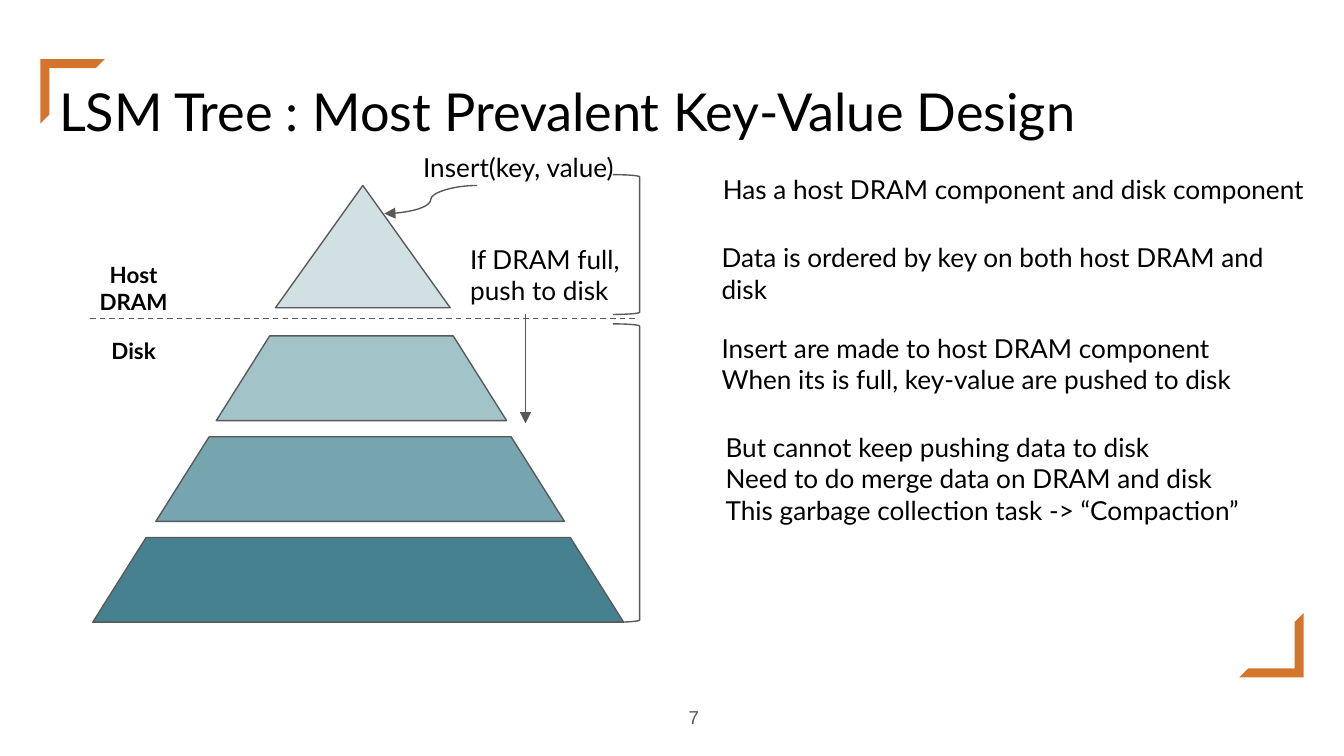
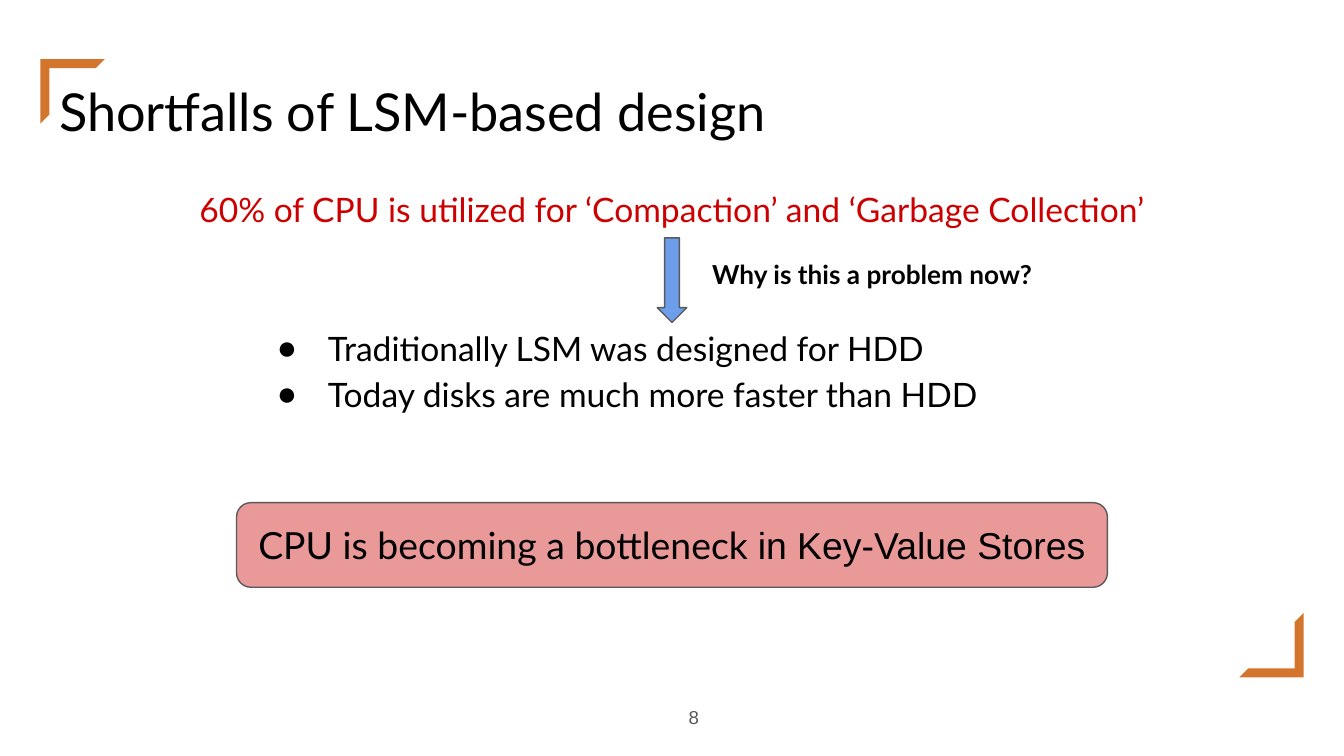
from lxml import etree
from pptx import Presentation
from pptx.dml.color import RGBColor
from pptx.enum.dml import MSO_LINE
from pptx.enum.shapes import MSO_CONNECTOR, MSO_SHAPE
from pptx.enum.text import MSO_ANCHOR, MSO_AUTO_SIZE, PP_ALIGN
from pptx.oxml.ns import qn
from pptx.util import Inches, Pt

LEFT, CENTER, RIGHT = PP_ALIGN.LEFT, PP_ALIGN.CENTER, PP_ALIGN.RIGHT
TOP, MIDDLE = MSO_ANCHOR.TOP, MSO_ANCHOR.MIDDLE
FIXED, GROW = MSO_AUTO_SIZE.NONE, MSO_AUTO_SIZE.SHAPE_TO_FIT_TEXT
STRAIGHT, CURVE = MSO_CONNECTOR.STRAIGHT, MSO_CONNECTOR.CURVE
DASH = MSO_LINE.DASH
HALF_FRAME, TRIANGLE = MSO_SHAPE.HALF_FRAME, MSO_SHAPE.ISOSCELES_TRIANGLE
TRAPEZOID, BRACKET = MSO_SHAPE.TRAPEZOID, MSO_SHAPE.RIGHT_BRACKET
ROUNDED, DOWN_ARROW = MSO_SHAPE.ROUNDED_RECTANGLE, MSO_SHAPE.DOWN_ARROW

TITLE_AND_BODY, TITLE_ONLY = 1, 5
FONT, PLAIN_FONT = "Lato", "Arial"
COLORS = {
    "text": "000000", "line": "595959", "frame": "D4752E", "alert": "CC0000",
    "memory": "D0E0E3", "level1": "A2C4C9", "level2": "76A5AF", "level3": "45818E",
    "callout": "EA9999", "arrow": "6D9EEB",
}


def color(name):
    """Return the named colour of the palette."""
    return RGBColor.from_string(COLORS[name])


class SlideBuilder:
    """Holds the deck style and the slide being built."""

    def __init__(self, deck):
        """Start with a deck and no slide."""
        self.deck = deck
        self.page = None

    def new_page(self, layout, title, number):
        """Add a page with corner frames, a title and a page number."""
        self.page = self.deck.slides.add_slide(self.deck.slide_layouts[layout])
        for left, top, angle in ((0.3, 0.44, 0), (9.22, 4.56, 180)):
            frame = self.shape(HALF_FRAME, (left, top, 0.48, 0.48), "frame", (0.14, 0.14), False)
            frame.rotation = angle
        self.fill_text(self.place(self.page.shapes.title, (0.34, 0.49, 9.32, 0.63)), [title], 28)
        self.text((4.7, 5.12, 0.6, 0.43), [number], 10, "line", PLAIN_FONT, RIGHT, MIDDLE, FIXED)

    def place(self, holder, area):
        """Move a placeholder to an area in inches."""
        holder.left, holder.top, holder.width, holder.height = map(Inches, area)
        return holder

    def format_run(self, span, size, tint="text", font=FONT, bold=False):
        """Style one run."""
        span.font.size, span.font.name, span.font.bold = Pt(size), font, bold
        span.font.color.rgb = color(tint)

    def fill_text(self, box, lines, size, tint="text", font=FONT, align=LEFT,
                  anchor=TOP, fit=FIXED, bold=False):
        """Write lines as paragraphs and format them."""
        frame = box.text_frame
        frame.text = "\n".join(lines)
        frame.word_wrap, frame.auto_size, frame.vertical_anchor = True, fit, anchor
        frame.margin_left = frame.margin_right = Inches(0.1)
        frame.margin_top = frame.margin_bottom = Inches(0.1)
        for para in frame.paragraphs:
            para.alignment = align
            for span in para.runs:
                self.format_run(span, size, tint, font, bold)

    def text(self, area, lines, size=14, tint="text", font=FONT, align=LEFT,
             anchor=TOP, fit=GROW, bold=False):
        """Add a text box."""
        box = self.page.shapes.add_textbox(*map(Inches, area))
        self.fill_text(box, lines, size, tint, font, align, anchor, fit, bold)

    def shape(self, kind, area, fill=None, adjust=(), outline=True):
        """Add a preset shape."""
        shape = self.page.shapes.add_shape(kind, *map(Inches, area))
        shape.shadow.inherit = False
        for index, value in enumerate(adjust):
            shape.adjustments[index] = value
        if fill:
            shape.fill.solid()
            shape.fill.fore_color.rgb = color(fill)
        else:
            shape.fill.background()
        if outline:
            self.outline(shape.line)
        else:
            shape.line.fill.background()
        return shape

    def outline(self, line):
        """Give a line the common colour and width."""
        line.color.rgb = color("line")
        line.width = Pt(0.75)

    def connector(self, kind, start, end, dash=None, arrow=False):
        """Add a connector, with an arrowhead at its end if asked."""
        connector = self.page.shapes.add_connector(kind, *map(Inches, start + end))
        self.outline(connector.line)
        if dash:
            connector.line.dash_style = dash
        if arrow:
            etree.SubElement(connector.get_or_add_ln(), qn("a:tailEnd"), type="triangle")
        properties = connector.element.find(qn("p:spPr"))
        etree.SubElement(properties, qn("a:effectLst"))

    def body(self, area, headline, points, gap):
        """Fill the body placeholder with a headline and bullets below a gap."""
        holder = self.place(self.page.placeholders[1], area)
        self.fill_text(holder, [headline] + points, 18)
        first, *rest = holder.text_frame.paragraphs
        for para in (first, *rest):
            para.line_spacing = 1.15
            para.space_before = para.space_after = Pt(0)
        first.alignment = CENTER
        first.runs[0].font.color.rgb = color("alert")
        self.bullet(first, 0, 0)
        for para in rest:
            self.bullet(para, 2, -0.38, "●")
        rest[0].space_before = Pt(gap)

    def bullet(self, para, margin, indent, mark=None):
        """Set the indents and the bullet mark of a paragraph."""
        properties = para._p.get_or_add_pPr()
        properties.set("marL", str(Inches(margin)))
        properties.set("indent", str(Inches(indent)))
        if mark:
            tint = etree.SubElement(properties, qn("a:buClr"))
            etree.SubElement(tint, qn("a:srgbClr"), val=COLORS["text"])
            etree.SubElement(properties, qn("a:buChar"), char=mark)
        else:
            etree.SubElement(properties, qn("a:buNone"))


def build_tree_page(builder):
    """Build the page on the LSM tree."""
    builder.new_page(TITLE_ONLY, "LSM Tree : Most Prevalent Key-Value Design", "7")
    builder.shape(TRIANGLE, (2.05, 1.38, 1.3, 0.91), "memory")
    levels = ((1.61, 2.16, "level1"), (1.16, 3.04, "level2"), (0.69, 3.95, "level3"))
    for index, (left, width, fill) in enumerate(levels):
        builder.shape(TRAPEZOID, (left, 2.5 + 0.75 * index, width, 0.63), fill, (0.63,))
    builder.connector(STRAIGHT, (0.67, 2.37), (4.74, 2.37), dash=DASH)
    for label, top, height in (("Host DRAM", 1.84, 0.61), ("Disk", 2.41, 0.4)):
        builder.text((0.61, top, 0.77, height), [label], 12, align=CENTER, bold=True)
    notes = (
        ((5.28, 1.19, 4.56, 0.44), ["Has a host DRAM component and disk component"]),
        ((5.27, 1.7, 4.41, 0.67), ["Data is ordered by key on both host DRAM and disk"]),
        ((5.27, 2.37, 4.41, 0.67), ["Insert are made to host DRAM component",
                                    "When its is full, key-value are pushed to disk"]),
        ((5.3, 3.11, 4.41, 0.91), ["But cannot keep pushing data to disk",
                                   "Need to do merge data on DRAM and disk",
                                   "This garbage collection task -> “Compaction”"]),
        ((3.05, 1.03, 1.65, 0.44), ["Insert(key, value)"]),
        ((3.4, 1.71, 1.65, 0.67), ["If DRAM full, push to disk"]),
    )
    for area, lines in notes:
        builder.text(area, lines)
    for top, height in ((1.3, 1.04), (2.41, 2.22)):
        builder.shape(BRACKET, (4.56, top, 0.2, height), adjust=(0.08,))
    builder.connector(CURVE, (3.55, 1.38), (2.86, 1.59), arrow=True)
    builder.connector(STRAIGHT, (3.91, 2.34), (3.91, 3.15), arrow=True)


def build_shortfalls_page(builder):
    """Build the page on the shortfalls."""
    builder.new_page(TITLE_AND_BODY, "Shortfalls of LSM-based design", "8")
    builder.body(
        (0.34, 1.26, 9.32, 3.74),
        "60% of CPU is utilized for ‘Compaction’ and ‘Garbage Collection’",
        ["Traditionally LSM was designed for HDD", "Today disks are much more faster than HDD"],
        gap=49.5,
    )
    callout = builder.shape(ROUNDED, (1.76, 3.74, 6.48, 0.63), "callout", (0.17,))
    builder.fill_text(callout, ["CPU is becoming a bottleneck "], 20, align=CENTER, anchor=MIDDLE)
    span = callout.text_frame.paragraphs[0].add_run()
    span.text = "in Key-Value Stores"
    builder.format_run(span, 20, font=PLAIN_FONT)
    builder.shape(DOWN_ARROW, (4.89, 1.77, 0.22, 0.63), "arrow")
    builder.text((5.2, 1.82, 4.45, 0.44), ["Why is this a problem now?"], bold=True)


def main():
    """Build and save the deck."""
    deck = Presentation()
    deck.slide_width = Inches(10)
    deck.slide_height = deck.slide_width * 9 // 16
    builder = SlideBuilder(deck)
    build_tree_page(builder)
    build_shortfalls_page(builder)
    deck.save("out.pptx")


if __name__ == "__main__":
    main()
